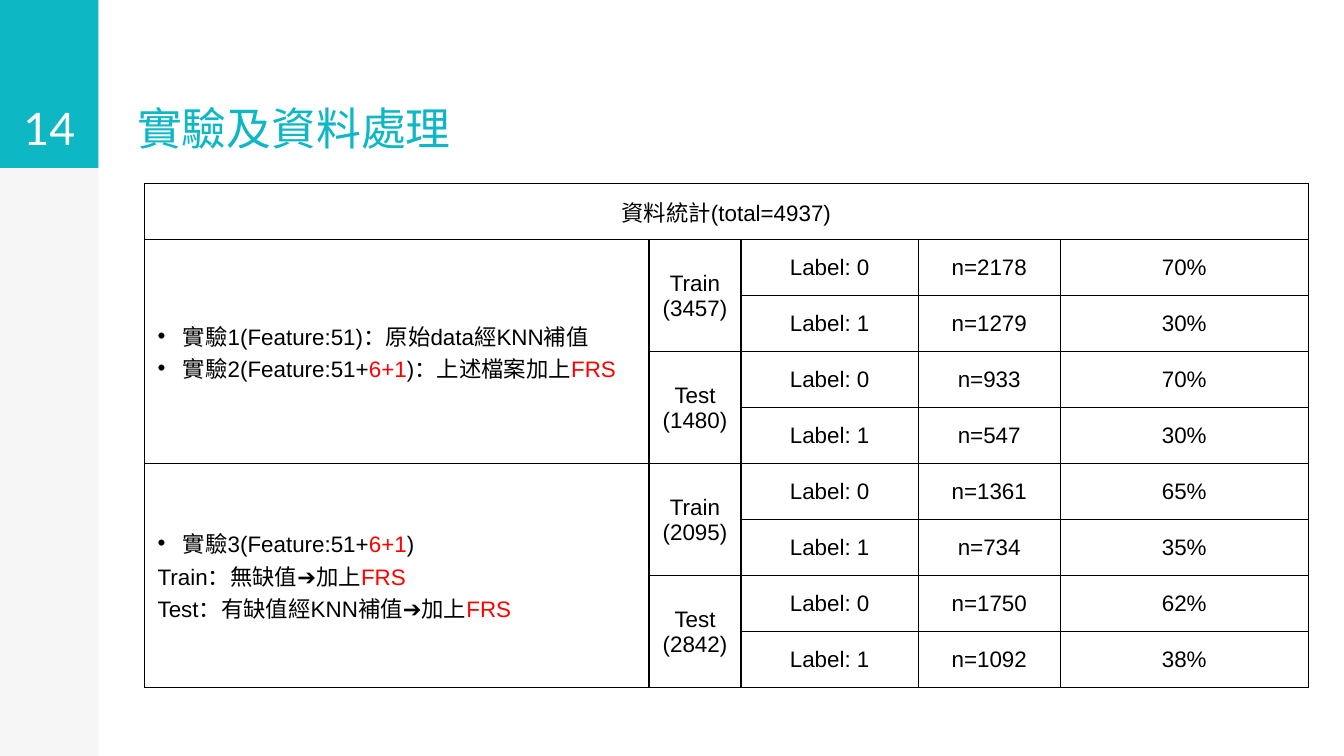
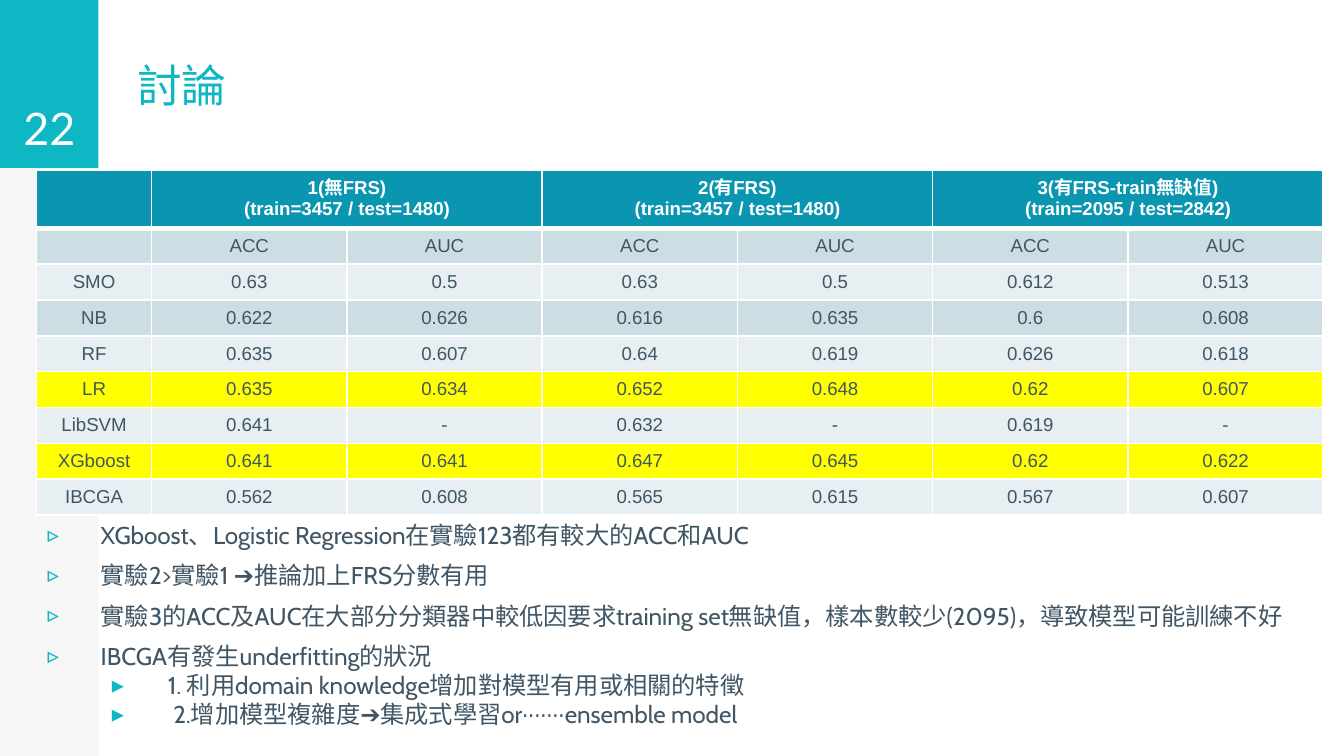
from dataclasses import dataclass

from lxml.etree import SubElement
from pptx import Presentation
from pptx.dml.color import RGBColor
from pptx.enum.shapes import MSO_SHAPE
from pptx.enum.text import MSO_ANCHOR, MSO_AUTO_SIZE, PP_ALIGN
from pptx.oxml.ns import qn
from pptx.util import Pt

COLORS = {
    "teal": "0DB7C4", "side": "F6F6F6", "white": "FFFFFF", "black": "000000",
    "red": "FF0000", "slate": "415665", "header": "0A95B0",
    "band_dark": "CCDDE4", "band_light": "E7EFF2", "highlight": "FFFF00",
}
SIDE_W, BADGE_H = 52.75, 90
INSET = 7.2


@dataclass
class Style:
    size: float
    font: str
    color: str
    bold: bool = False
    align: PP_ALIGN = PP_ALIGN.LEFT
    east_asian: bool = True


@dataclass
class Bullet:
    char: str
    color: str
    left: float
    hang: float


TITLE = Style(24, "Lato", "teal")
NUMBER = Style(24, "Lato", "white", align=PP_ALIGN.CENTER)
BODY = Style(13, "Cabin", "slate")
STATS = Style(12, "Arial", "black", align=PP_ALIGN.CENTER, east_asian=False)
STATS_LEFT = Style(12, "Arial", "black", east_asian=False)
SCORE = Style(10, "Arial", "slate", align=PP_ALIGN.CENTER)
SCORE_HEAD = Style(10, "Arial", "white", bold=True, align=PP_ALIGN.CENTER)

DOT = Bullet("•", "black", 13.5, 13.5)
OUTLINE_ARROW = Bullet("▹", "teal", 36, 30)
SOLID_ARROW = Bullet("▸", "teal", 72, 30)

EXPERIMENTS = [
    [
        (DOT, ["實驗1(Feature:51)：原始data經KNN補值"]),
        (DOT, ["實驗2(Feature:51+", ("6+1", "red"), ")：上述檔案加上",
               ("FRS", "red")]),
    ],
    [
        (DOT, ["實驗3(Feature:51+", ("6+1", "red"), ")"]),
        (None, ["Train：無缺值➔加上", ("FRS", "red")]),
        (None, ["Test：有缺值經KNN補值➔加上", ("FRS", "red")]),
    ],
]
SPLITS = [("Train", 3457), ("Test", 1480), ("Train", 2095), ("Test", 2842)]
LABELS = [(2178, 70), (1279, 30), (933, 70), (547, 30),
          (1361, 65), (734, 35), (1750, 62), (1092, 38)]

SCORE_HEADS = [
    ("1(無FRS)", "(train=3457 / test=1480)"),
    ("2(有FRS)", "(train=3457 / test=1480)"),
    ("3(有FRS-train無缺值)", "(train=2095 / test=2842)"),
]
SCORES = [
    ["", "ACC", "AUC", "ACC", "AUC", "ACC", "AUC"],
    ["SMO", "0.63", "0.5", "0.63", "0.5", "0.612", "0.513"],
    ["NB", "0.622", "0.626", "0.616", "0.635", "0.6", "0.608"],
    ["RF", "0.635", "0.607", "0.64", "0.619", "0.626", "0.618"],
    ["LR", "0.635", "0.634", "0.652", "0.648", "0.62", "0.607"],
    ["LibSVM", "0.641", "-", "0.632", "-", "0.619", "-"],
    ["XGboost", "0.641", "0.641", "0.647", "0.645", "0.62", "0.622"],
    ["IBCGA", "0.562", "0.608", "0.565", "0.615", "0.567", "0.607"],
]
BEST = ("LR", "XGboost")

DISCUSSION = [
    (OUTLINE_ARROW, ["XGboost、Logistic Regression在實驗123都有較大的ACC和AUC"]),
    (OUTLINE_ARROW, ["實驗2>實驗1 ➔推論加上FRS分數有用"]),
    (OUTLINE_ARROW, ["實驗3的ACC及AUC在大部分分類器中較低➔因要求training set無缺值，"
                     "樣本數較少(2095)，導致模型可能訓練不好"]),
    (OUTLINE_ARROW, ["IBCGA有發生underfitting的狀況"]),
    (SOLID_ARROW, ["1. 利用domain knowledge增加對模型有用或相關的特徵"]),
    (SOLID_ARROW, [" 2.增加模型複雜度➔集成式學習or結合分類器建成ensemble model"]),
]


def rgb(name):
    return RGBColor.from_string(COLORS[name])


def add_run(p, text, style, color=None):
    r = p.add_run()
    r.text = text
    r.font.size = Pt(style.size)
    r.font.name = style.font
    r.font.bold = style.bold
    r.font.color.rgb = rgb(color or style.color)
    if style.east_asian:
        SubElement(r.font._element, qn("a:ea"), typeface=style.font)


def set_bullet(p, bullet):
    pPr = p._p.get_or_add_pPr()
    pPr.set("marL", str(Pt(bullet.left) if bullet else 0))
    pPr.set("indent", str(-Pt(bullet.hang) if bullet else 0))
    if bullet is None:
        SubElement(pPr, qn("a:buNone"))
        return
    clr = SubElement(pPr, qn("a:buClr"))
    SubElement(clr, qn("a:srgbClr"), val=COLORS[bullet.color])
    SubElement(pPr, qn("a:buFont"), typeface="Arial")
    SubElement(pPr, qn("a:buChar"), char=bullet.char)


def write(tf, paragraphs, style):
    """Fill a frame with (bullet, runs); a run is a string or (text, colour)."""
    for i, (bullet, runs) in enumerate(paragraphs):
        p = tf.add_paragraph() if i else tf.paragraphs[0]
        p.alignment = style.align
        p.space_before = Pt(6 if bullet is OUTLINE_ARROW else 0)
        if bullet is SOLID_ARROW:
            p.level = 1
        set_bullet(p, bullet)
        for run in runs:
            text, color = (run, None) if isinstance(run, str) else run
            add_run(p, text, style, color)


def plain(*lines):
    return [(None, [line]) for line in lines]


def place(sp, left, top, width, height):
    sp.left, sp.top, sp.width, sp.height = map(Pt, (left, top, width, height))


def format_frame(tf, anchor):
    tf.word_wrap = True
    tf.auto_size = MSO_AUTO_SIZE.NONE
    tf.vertical_anchor = anchor
    tf.margin_left = tf.margin_right = Pt(INSET)
    tf.margin_top = tf.margin_bottom = Pt(INSET)


def add_master_bands(prs, s):
    """Make the side band and the number badge, then move them to the master."""
    for i, (height, color) in enumerate([(405, "side"), (BADGE_H, "teal")]):
        sp = s.shapes.add_shape(MSO_SHAPE.RECTANGLE, 0, 0, Pt(SIDE_W), Pt(height))
        sp.shadow.inherit = False
        sp.fill.solid()
        sp.fill.fore_color.rgb = rgb(color)
        sp.line.fill.background()
        sp.element.nvSpPr.cNvPr.set("id", str(100 + i))
        prs.slide_master.shapes.element.insert(2 + i, sp.element)


def add_title(s, text, anchor):
    sp = s.shapes.title
    place(sp, 66.25, 0.5, 280, 89.5)
    format_frame(sp.text_frame, anchor)
    write(sp.text_frame, plain(text), TITLE)


def add_number(s, number):
    sp = s.shapes.add_textbox(0, 0, Pt(SIDE_W), Pt(BADGE_H))
    format_frame(sp.text_frame, MSO_ANCHOR.BOTTOM)
    write(sp.text_frame, plain(str(number)), NUMBER)


def add_body(s, paragraphs):
    sp = s.placeholders[1]
    place(sp, 10.75, 271.5, 708.5, 129.5)
    format_frame(sp.text_frame, MSO_ANCHOR.TOP)
    write(sp.text_frame, paragraphs, BODY)


def add_grid(s, left, top, widths, heights):
    shape = s.shapes.add_table(len(heights), len(widths), Pt(left), Pt(top),
                               Pt(sum(widths)), Pt(sum(heights)))
    table = shape.table
    table.first_row = table.horz_banding = False
    for column, width in zip(table.columns, widths):
        column.width = Pt(width)
    for row, height in zip(table.rows, heights):
        row.height = Pt(height)
    return table


def set_borders(cell, color, widths):
    """Widths are for the left, right, top and bottom borders."""
    tcPr = cell._tc.get_or_add_tcPr()
    for side, width in zip("LRTB", widths):
        ln = SubElement(tcPr, qn(f"a:ln{side}"), w=str(Pt(width)))
        fill = SubElement(ln, qn("a:solidFill"))
        SubElement(fill, qn("a:srgbClr"), val=COLORS[color])


def fill_cell(cell, paragraphs, style):
    cell.vertical_anchor = MSO_ANCHOR.MIDDLE
    write(cell.text_frame, paragraphs, style)


def add_stats_table(s):
    table = add_grid(s, 77.25, 98.5, [270.5, 49.25, 95, 76, 133], [30] * 9)
    for cell in table.iter_cells():
        set_borders(cell, "black", [0.75] * 4)
        cell.fill.background()

    def merged(row, col, last_row, last_col):
        cell = table.cell(row, col)
        cell.merge(table.cell(last_row, last_col))
        return cell

    fill_cell(merged(0, 0, 0, 4), plain("資料統計(total=4937)"), STATS)
    for i, paragraphs in enumerate(EXPERIMENTS):
        row = 1 + 4 * i
        fill_cell(merged(row, 0, row + 3, 0), paragraphs, STATS_LEFT)
    for i, (name, count) in enumerate(SPLITS):
        row = 1 + 2 * i
        fill_cell(merged(row, 1, row + 1, 1), plain(name, f"({count})"), STATS)
    for i, (count, share) in enumerate(LABELS):
        texts = (f"Label: {i % 2}", f"n={count}", f"{share}%")
        for col, text in enumerate(texts, start=2):
            fill_cell(table.cell(i + 1, col), plain(text), STATS)


def add_score_table(s):
    table = add_grid(s, 19.5, 91, [61.75] + [104.6] * 6, [31.2] + [19.2] * 8)
    for i, row in enumerate(table.rows):
        if i == 0:
            color = "header"
        elif SCORES[i - 1][0] in BEST:
            color = "highlight"
        else:
            color = "band_dark" if i % 2 else "band_light"
        top, bottom = (3 if i == 1 else 1), (3 if i == 0 else 1)
        for cell in row.cells:
            set_borders(cell, "white", [1, 1, top, bottom])
            cell.fill.solid()
            cell.fill.fore_color.rgb = rgb(color)
    for i, lines in enumerate(SCORE_HEADS):
        cell = table.cell(0, 1 + 2 * i)
        cell.merge(table.cell(0, 2 + 2 * i))
        fill_cell(cell, plain(*lines), SCORE_HEAD)
    for i, values in enumerate(SCORES, start=1):
        for col, text in enumerate(values):
            if text:
                fill_cell(table.cell(i, col), plain(text), SCORE)
    for row in (0, 1):
        p = table.cell(row, 0).text_frame.paragraphs[0]
        SubElement(p._p, qn("a:endParaRPr"), sz=str(SCORE.size * 100))


def main():
    prs = Presentation()
    prs.slide_width, prs.slide_height = Pt(720), Pt(405)

    s = prs.slides.add_slide(prs.slide_layouts[5])
    add_master_bands(prs, s)
    add_title(s, "實驗及資料處理", MSO_ANCHOR.BOTTOM)
    add_number(s, 14)
    add_stats_table(s)

    s = prs.slides.add_slide(prs.slide_layouts[1])
    add_title(s, "討論", MSO_ANCHOR.MIDDLE)
    add_body(s, DISCUSSION)
    add_number(s, 22)
    add_score_table(s)

    prs.save("out.pptx")


if __name__ == "__main__":
    main()
